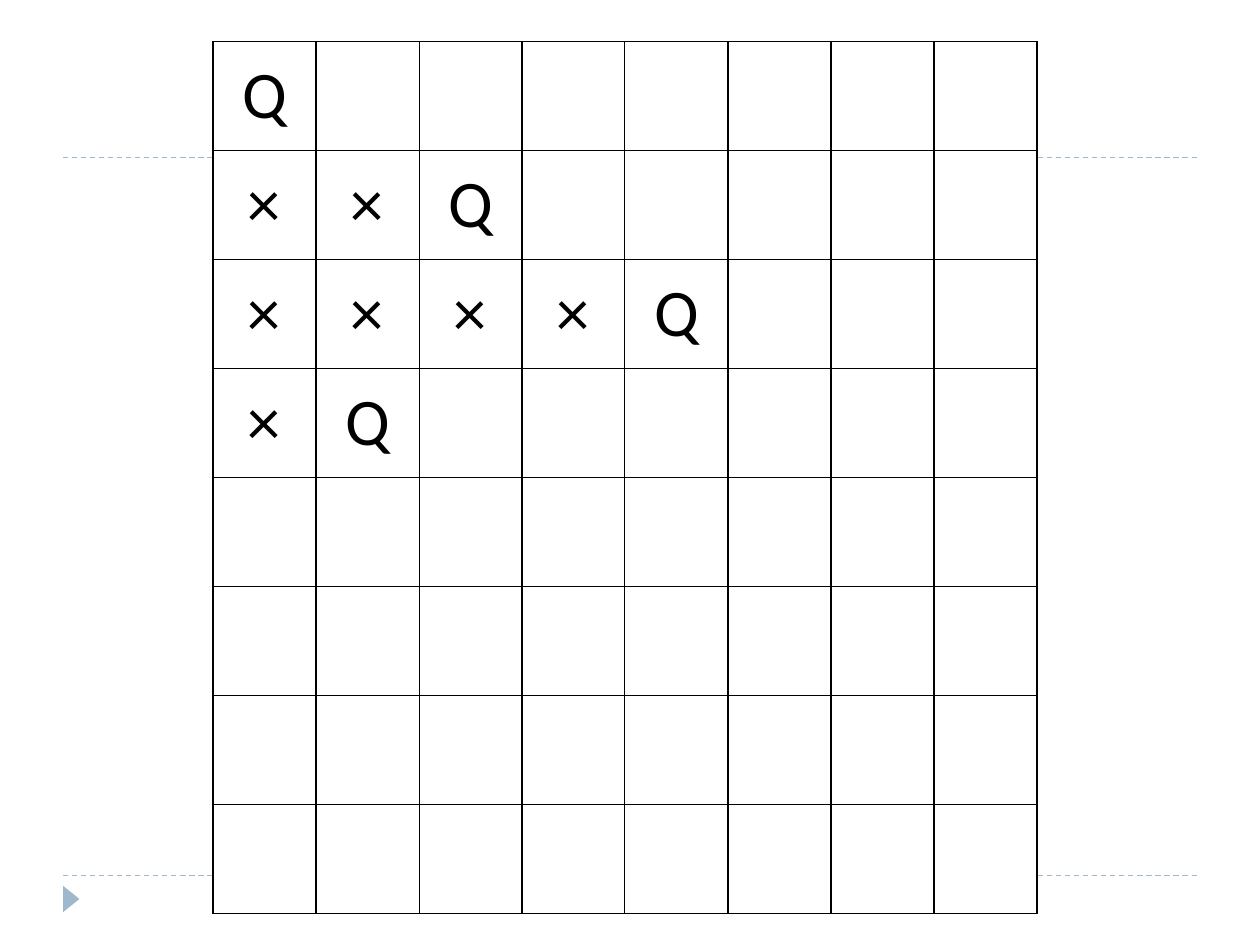
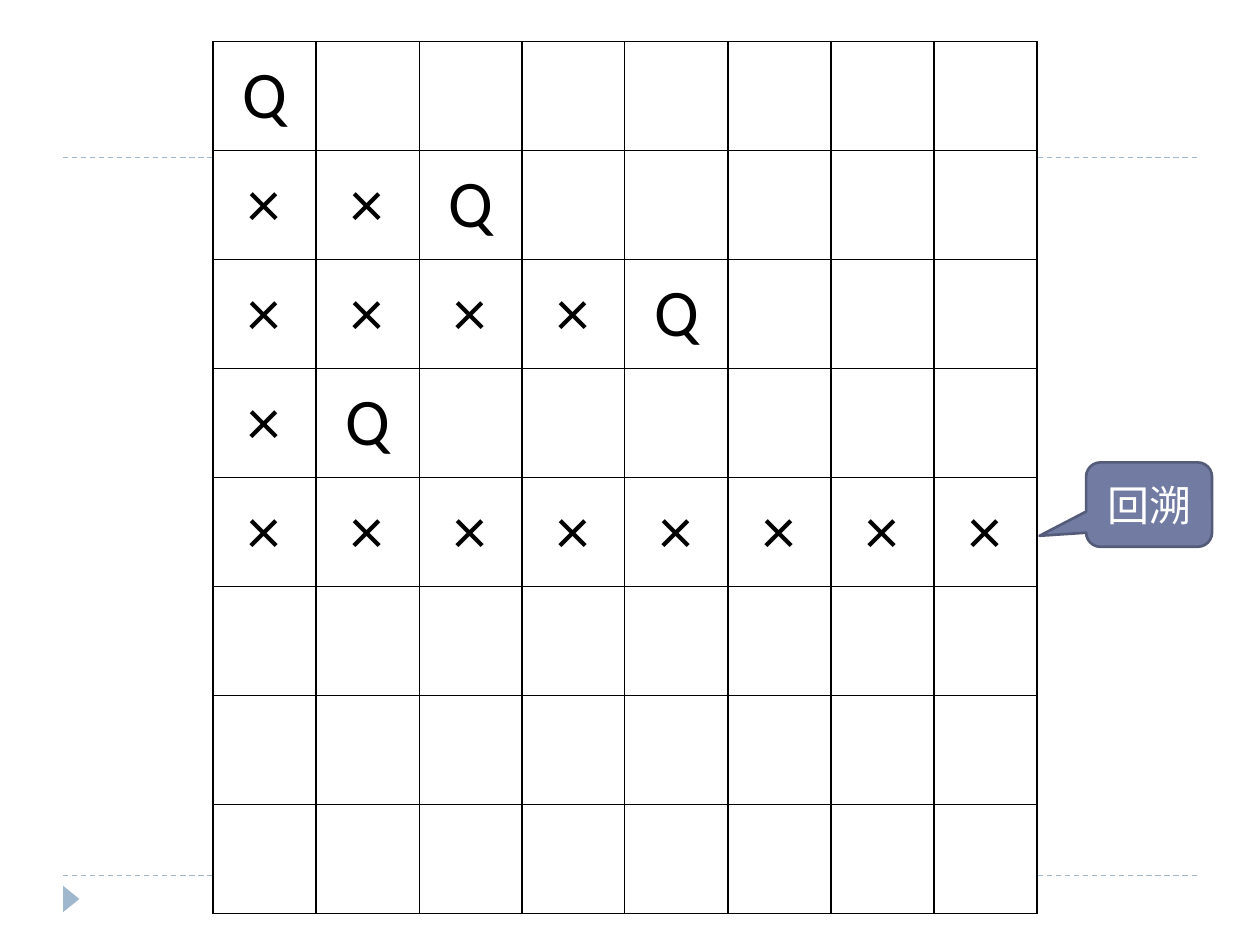
import pptx
import pptx.dml.color
import pptx.enum.dml
import pptx.enum.shapes
import pptx.enum.text
import pptx.oxml.ns
import pptx.util
from dataclasses import dataclass
from lxml import etree

PX = 9144  # EMU per px, 100 px to the inch
SHAPE = pptx.enum.shapes.MSO_SHAPE


@dataclass(frozen=True)
class Theme:
    paper: str = "FFFFFF"
    ink: str = "000000"
    accent: str = "9FB8CD"
    callout: str = "727CA3"
    callout_edge: str = "545C79"
    board_font: str = "Calibri"
    callout_font: str = "Cabin"
    board_size: int = 38
    callout_size: int = 24
    rule_width: float = 0.75
    callout_width: float = 1.5
    thick: float = 1
    thin: float = 0.5


def rgb(color):
    return pptx.dml.color.RGBColor.from_string(color)


class Deck:
    def __init__(self, theme):
        self.theme = theme
        self.prs = pptx.Presentation()
        self.prs.slide_width, self.prs.slide_height = 1000 * PX, 750 * PX
        self.slide = None

    def new_slide(self):
        """Start a slide with the shared dashed rules and corner marker."""
        t = self.theme
        self.slide = self.prs.slides.add_slide(self.prs.slide_layouts[6])
        fill = self.slide.background.fill
        fill.solid()
        fill.fore_color.rgb = rgb(t.paper)
        for y in (695, 125):
            self.rule(50, 950, y)
        marker = self.shape(SHAPE.ISOSCELES_TRIANGLE, (46, 707, 21, 13), t.accent)
        marker.rotation = 90

    def rule(self, x1, x2, y):
        line = self.slide.shapes.add_connector(
            pptx.enum.shapes.MSO_CONNECTOR.STRAIGHT, x1 * PX, y * PX, x2 * PX, y * PX)
        line.line.color.rgb = rgb(self.theme.accent)
        line.line.width = pptx.util.Pt(self.theme.rule_width)
        line.line.dash_style = pptx.enum.dml.MSO_LINE.DASH
        etree.SubElement(line._element.spPr, pptx.oxml.ns.qn("a:effectLst"))

    def shape(self, kind, box, color):
        sp = self.slide.shapes.add_shape(kind, *(v * PX for v in box))
        sp.shadow.inherit = False
        sp.fill.solid()
        sp.fill.fore_color.rgb = rgb(color)
        sp.line.fill.background()
        return sp

    def label(self, tf, text, font, size, color):
        p = tf.paragraphs[0]
        p.text = text
        p.alignment = pptx.enum.text.PP_ALIGN.CENTER
        p.font.name = font
        p.font.size = pptx.util.Pt(size)
        p.font.color.rgb = rgb(color)

    def callout(self, box, adjustments, text):
        t = self.theme
        sp = self.shape(SHAPE.ROUNDED_RECTANGULAR_CALLOUT, box, t.callout)
        for i, value in enumerate(adjustments):
            sp.adjustments[i] = value
        sp.line.color.rgb = rgb(t.callout_edge)
        sp.line.width = pptx.util.Pt(t.callout_width)
        sp.text_frame.vertical_anchor = pptx.enum.text.MSO_ANCHOR.MIDDLE
        self.label(sp.text_frame, text, t.callout_font, t.callout_size, t.paper)

    def borders(self, cell, widths):
        tc_pr = cell._tc.get_or_add_tcPr()
        qn = pptx.oxml.ns.qn
        for side, width in zip("LRTB", widths):
            ln = etree.SubElement(tc_pr, qn(f"a:ln{side}"), w=str(int(pptx.util.Pt(width))))
            fill = etree.SubElement(ln, qn("a:solidFill"))
            etree.SubElement(fill, qn("a:srgbClr"), val=self.theme.ink)

    def board(self, box, rows, size=8, thin_lines=(2, 4)):
        """Draw a square board; rows hold the marks from the left."""
        t = self.theme
        x, y, w, h = (v * PX for v in box)
        table = self.slide.shapes.add_table(size, size, x, y, w, h).table
        table.first_row = table.horz_banding = False

        def weight(line):
            return t.thin if line in thin_lines else t.thick

        for r in range(size):
            marks = rows[r] if r < len(rows) else ""
            for c, mark in enumerate(marks.ljust(size)):
                cell = table.cell(r, c)
                self.borders(cell, [weight(i) for i in (c, c + 1, r, r + 1)])
                cell.fill.solid()
                cell.fill.fore_color.rgb = rgb(t.paper)
                cell.margin_left = cell.margin_right = 21 * PX
                cell.margin_top = cell.margin_bottom = 11 * PX
                cell.vertical_anchor = pptx.enum.text.MSO_ANCHOR.MIDDLE
                self.label(cell.text_frame, mark.strip(), t.board_font, t.board_size, t.ink)


def main():
    deck = Deck(Theme())
    board_box = (169, 33, 654, 681)
    placed = ["Q", "××Q", "××××Q", "×Q"]

    # Four queens placed
    deck.new_slide()
    deck.board(board_box, placed)

    # Fifth row has no free square: backtrack
    deck.new_slide()
    deck.board(board_box, placed + ["×" * 8])
    deck.callout((862, 367, 100, 67), (-0.87, 0.37, 0.17), "回溯")

    deck.prs.save("out.pptx")


if __name__ == "__main__":
    main()
